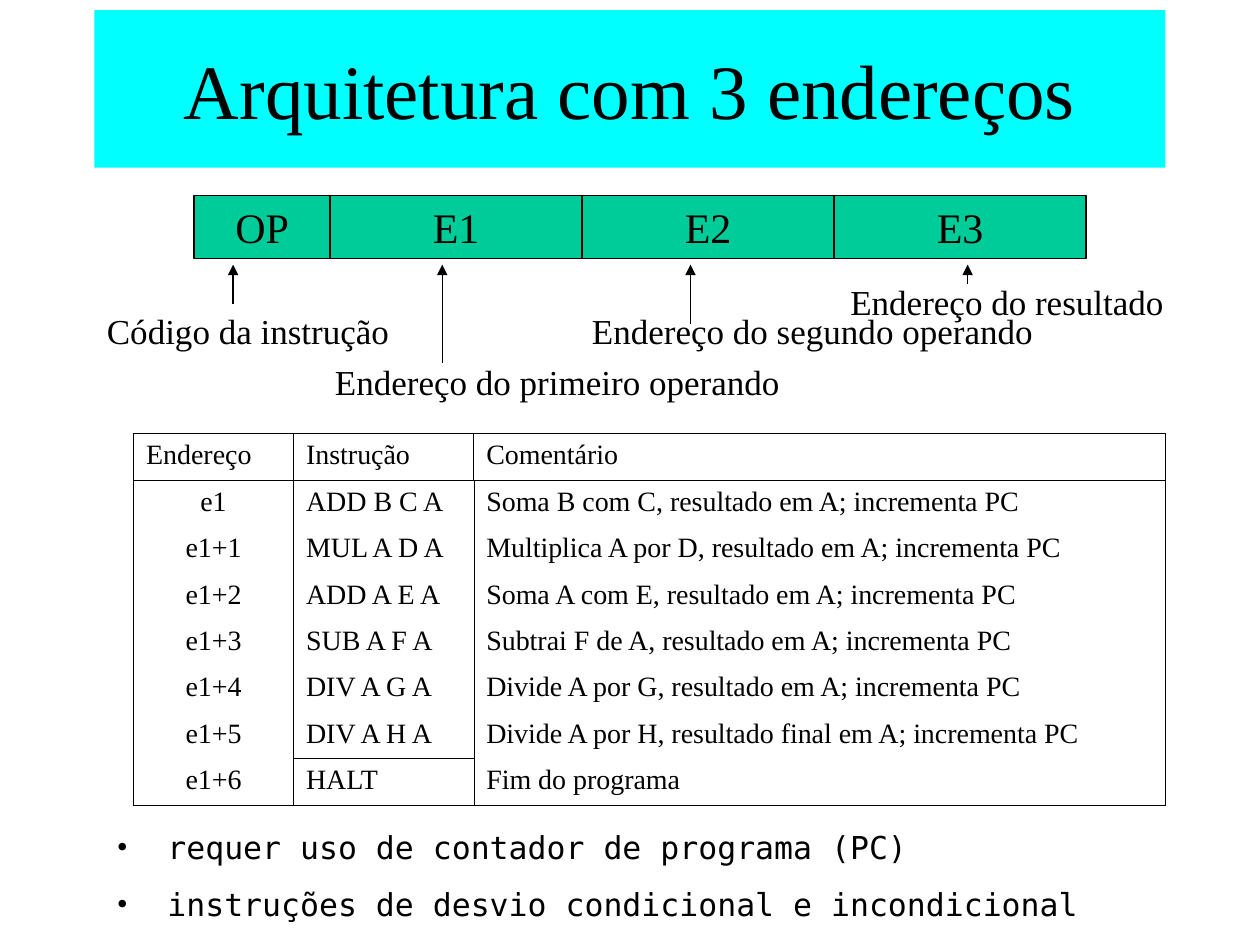
from typing import NamedTuple

from lxml.etree import SubElement
from pptx import Presentation
from pptx.dml.color import RGBColor
from pptx.enum.shapes import MSO_CONNECTOR, MSO_SHAPE
from pptx.enum.text import MSO_ANCHOR, MSO_AUTO_SIZE, PP_ALIGN
from pptx.oxml.ns import qn
from pptx.util import Inches, Pt

COLORS = {"ink": "000000", "title": "00FFFF", "field": "00CC99"}
SERIF = "Times New Roman"
MONO = "DejaVu Sans Mono"
ARROW_TOP = 2.1
THIN, MEDIUM = 0.06, 0.45  # table rules, in points


class Field(NamedTuple):
    name: str
    width: float


class Label(NamedTuple):
    text: str
    left: float
    top: float
    width: float
    arrow_x: float
    arrow_bottom: float


FIELDS = [Field("OP", 1.08), Field("E1", 2), Field("E2", 2), Field("E3", 2)]
LABELS = [
    Label("Código da instrução", 0.75, 2.41, 2.44, 1.85, 2.41),
    Label("Endereço do primeiro operando", 2.56, 2.81, 3.73, 3.51, 2.88),
    Label("Endereço do segundo operando", 4.6, 2.41, 3.7, 5.48, 2.57),
    Label("Endereço do resultado", 6.65, 2.18, 2.69, 7.68, 2.25),
]
PROGRAM = [
    ("Endereço", "Instrução", "Comentário"),
    ("e1", "ADD B C A", "Soma B com C, resultado em A; incrementa PC"),
    ("e1+1", "MUL A D A", "Multiplica A por D, resultado em A; incrementa PC"),
    ("e1+2", "ADD A E A", "Soma A com E, resultado em A; incrementa PC"),
    ("e1+3", "SUB A F A", "Subtrai F de A, resultado em A; incrementa PC"),
    ("e1+4", "DIV A G A", "Divide A por G, resultado em A; incrementa PC"),
    ("e1+5", "DIV A H A", "Divide A por H, resultado final em A; incrementa PC"),
    ("e1+6", "HALT", "Fim do programa"),
]
COLUMN_WIDTHS = [1.27, 1.43, 5.49]
NOTES = [
    "requer uso de contador de programa (PC)",
    "instruções de desvio condicional e incondicional",
]


def color(name: str) -> RGBColor:
    return RGBColor.from_string(COLORS[name])


def style(paragraph, size: float, font: str = SERIF, align=PP_ALIGN.LEFT) -> None:
    paragraph.alignment = align
    for run in paragraph.runs:
        run.font.name = font
        run.font.size = Pt(size)
        run.font.color.rgb = color("ink")


def add_block(shapes, text: str, box: tuple, fill: str, size: float, outlined: bool) -> None:
    block = shapes.add_shape(MSO_SHAPE.RECTANGLE, *map(Inches, box))
    block.shadow.inherit = False
    block.fill.solid()
    block.fill.fore_color.rgb = color(fill)
    if outlined:
        block.line.color.rgb = color("ink")
        block.line.width = Pt(0.75)
    else:
        block.line.fill.background()
    block.text_frame.text = text
    block.text_frame.vertical_anchor = MSO_ANCHOR.MIDDLE
    style(block.text_frame.paragraphs[0], size, align=PP_ALIGN.CENTER)


def add_label(shapes, label: Label) -> None:
    box = (label.left, label.top, label.width, 0.44)
    frame = shapes.add_textbox(*map(Inches, box)).text_frame
    frame.word_wrap = False
    frame.auto_size = MSO_AUTO_SIZE.SHAPE_TO_FIT_TEXT
    frame.text = label.text
    style(frame.paragraphs[0], 20)


def add_arrow(shapes, x: float, bottom: float) -> None:
    ends = (x, bottom, x, ARROW_TOP)
    arrow = shapes.add_connector(MSO_CONNECTOR.STRAIGHT, *map(Inches, ends))
    arrow.line.color.rgb = color("ink")
    arrow.line.width = Pt(0.75)
    SubElement(arrow.line._get_or_add_ln(), qn("a:tailEnd"), type="triangle")
    SubElement(arrow._element.spPr, qn("a:effectLst"))


def set_borders(cell, widths: dict) -> None:
    """Rule the sides named in widths; leave the others open."""
    properties = cell._tc.get_or_add_tcPr()
    for position, side in enumerate("LRTB"):
        width = widths.get(side)
        line = SubElement(properties, qn(f"a:ln{side}"), w=str(Pt(width or 0)))
        if width:
            solid = SubElement(line, qn("a:solidFill"))
            SubElement(solid, qn("a:srgbClr"), val=COLORS["ink"])
        else:
            SubElement(line, qn("a:noFill"))
        properties.insert(position, line)


def cell_borders(row: int, column: int) -> dict:
    last = len(PROGRAM) - 1
    widths = {"L": THIN, "R": THIN}
    if row <= 1:
        widths["T"] = THIN
    if row in (0, last):
        widths["B"] = THIN
    if row == 0 and column > 0:  # divider between the last two headings
        widths["R" if column == 1 else "L"] = MEDIUM
    if column == 1 and row >= last - 1:  # rule above HALT
        widths["T" if row == last else "B"] = MEDIUM
    return widths


def add_program(shapes) -> None:
    box = (1.06, 3.44, sum(COLUMN_WIDTHS), 2.95)
    table = shapes.add_table(len(PROGRAM), len(COLUMN_WIDTHS), *map(Inches, box)).table
    table.first_row = table.horz_banding = False
    for column, width in zip(table.columns, COLUMN_WIDTHS):
        column.width = Inches(width)
    for r, texts in enumerate(PROGRAM):
        for c, text in enumerate(texts):
            cell = table.cell(r, c)
            cell.text_frame.text = text
            cell.fill.background()
            centred = r > 0 and c == 0
            align = PP_ALIGN.CENTER if centred else PP_ALIGN.JUSTIFY
            style(cell.text_frame.paragraphs[0], 16, align=align)
            set_borders(cell, cell_borders(r, c))


def add_notes_list(shapes) -> None:
    frame = shapes.add_textbox(*map(Inches, (0.83, 6.52, 8.42, 0.86))).text_frame
    frame.word_wrap = True
    frame.text = "\n".join(NOTES)
    for index, paragraph in enumerate(frame.paragraphs):
        properties = paragraph._p.get_or_add_pPr()
        properties.set("marL", str(Inches(0.4)))
        properties.set("indent", str(Inches(-0.4)))
        SubElement(properties, qn("a:buFont"), typeface=SERIF)
        SubElement(properties, qn("a:buChar"), char="•")
        if index:
            paragraph.space_before = Pt(11.2)
        style(paragraph, 18, MONO)


def main() -> None:
    deck = Presentation()
    deck.slide_width, deck.slide_height = Inches(10), Inches(7.5)
    shapes = deck.slides.add_slide(deck.slide_layouts[6]).shapes

    # Title band
    add_block(shapes, "Arquitetura com 3 endereços", (0.75, 0.08, 8.5, 1.25), "title", 44, False)

    # Instruction format
    instruction = shapes.add_group_shape().shapes
    left = 1.54
    for field in FIELDS:
        add_block(instruction, field.name, (left, 1.55, field.width, 0.5), "field", 24, True)
        left += field.width

    # Program listing and remarks
    add_notes_list(shapes)
    add_program(shapes)

    # Field explanations
    for label in LABELS:
        add_label(shapes, label)
        add_arrow(shapes, label.arrow_x, label.arrow_bottom)

    deck.save("out.pptx")


if __name__ == "__main__":
    main()
